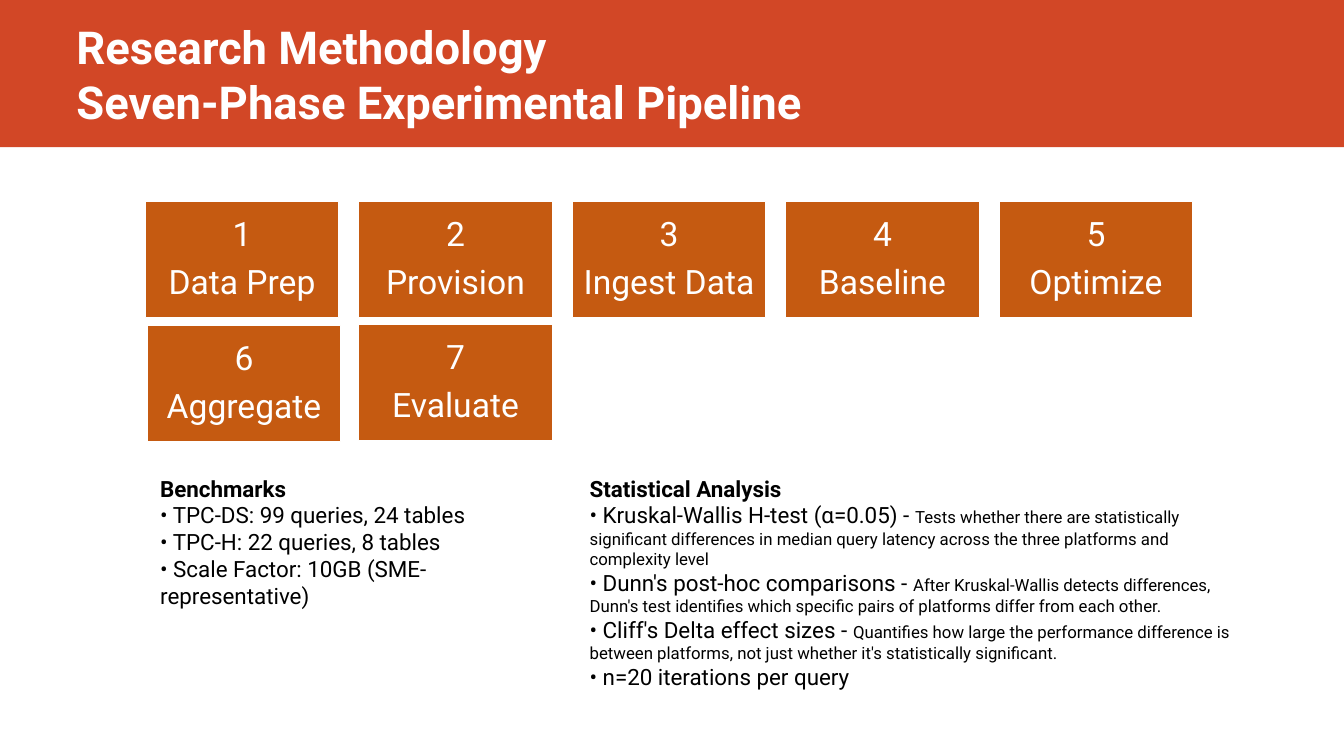
from pptx import Presentation
from pptx.dml.color import RGBColor
from pptx.enum.shapes import MSO_SHAPE
from pptx.enum.text import MSO_ANCHOR, PP_ALIGN
from pptx.util import Inches, Pt

COLORS = {"banner": "D24726", "phase": "C55A11", "light": "FFFFFF", "body": "000000"}
FONT = "Roboto"

PHASES = ["Data Prep", "Provision", "Ingest Data", "Baseline", "Optimize",
          "Aggregate", "Evaluate"]
PHASES_PER_ROW = 5
NUDGES = {"Aggregate": (0.02, 0.01)}

BENCHMARKS = [
    ("TPC-DS: 99 queries, 24 tables", ""),
    ("TPC-H: 22 queries, 8 tables", ""),
    ("Scale Factor: 10GB (SME-representative)", ""),
]
STATISTICS = [
    ("Kruskal-Wallis H-test (α=0.05) - ",
     "Tests whether there are statistically significant differences in median "
     "query latency across the three platforms and complexity level"),
    ("Dunn's post-hoc comparisons - ",
     "After Kruskal-Wallis detects differences, Dunn's test identifies which "
     "specific pairs of platforms differ from each other."),
    ("Cliff's Delta effect sizes - ",
     "Quantifies how large the performance difference is between platforms, "
     "not just whether it's statistically significant."),
    ("n=20 iterations per query", ""),
]


def add_run(paragraph, text, size=16, color="body", bold=False):
    run = paragraph.add_run()
    run.text = text
    run.font.name = FONT
    run.font.size = Pt(size)
    run.font.bold = bold
    run.font.color.rgb = RGBColor.from_string(COLORS[color])


def write(frame, paragraphs, align=PP_ALIGN.LEFT, anchor=MSO_ANCHOR.TOP,
          line_spacing=None, space_after=0, **font):
    """Fill a frame; each paragraph is a list of (text, font overrides)."""
    frame.word_wrap = True
    frame.vertical_anchor = anchor
    for index, runs in enumerate(paragraphs):
        paragraph = frame.add_paragraph() if index else frame.paragraphs[0]
        paragraph.alignment = align
        paragraph.line_spacing = line_spacing
        paragraph.space_after = Pt(space_after)
        for text, overrides in runs:
            add_run(paragraph, text, **{**font, **overrides})


def add_box(slide, left, top, width, height, fill, line=None):
    box = slide.shapes.add_shape(MSO_SHAPE.RECTANGLE, Inches(left), Inches(top),
                                 Inches(width), Inches(height))
    box.shadow.inherit = False
    box.fill.solid()
    box.fill.fore_color.rgb = RGBColor.from_string(COLORS[fill])
    if line:
        box.line.color.rgb = RGBColor.from_string(COLORS[line])
        box.line.width = Pt(1)
    else:
        box.line.fill.background()
    return box


def add_text_frame(slide, left, top, width, height):
    return slide.shapes.add_textbox(Inches(left), Inches(top), Inches(width),
                                    Inches(height)).text_frame


def add_banner(slide, left, top, width, height):
    add_box(slide, left, top, width, height, "banner")
    title = add_text_frame(slide, left + 0.66, top, width - 1.57, height - 0.14)
    write(title, [[("Research Methodology", {})],
                  [("Seven-Phase Experimental Pipeline", {})]],
          anchor=MSO_ANCHOR.BOTTOM, size=32.4, color="light", bold=True)


def add_pipeline(slide, left, top, width, height):
    """Lay the numbered phases out in rows inside the given box."""
    box_width, box_height = 1.92, 1.15
    column_step = (width - box_width) / (PHASES_PER_ROW - 1)
    row_step = height - box_height
    for index, phase in enumerate(PHASES):
        row, column = divmod(index, PHASES_PER_ROW)
        shift_x, shift_y = NUDGES.get(phase, (0, 0))
        box = add_box(slide, left + column * column_step + shift_x,
                      top + row * row_step + shift_y,
                      box_width, box_height, "phase", line="light")
        write(box.text_frame, [[(str(index + 1), {})], [(phase, {})]],
              align=PP_ALIGN.CENTER, anchor=MSO_ANCHOR.MIDDLE,
              line_spacing=0.9, space_after=8.4, size=24, color="light")


def add_notes_column(slide, left, top, width, height, heading, points):
    """Bold heading above points, each with an optional smaller explanation."""
    paragraphs = [[(heading, {"bold": True})]]
    for point, explanation in points:
        runs = [("• " + point, {})]
        if explanation:
            runs.append((explanation, {"size": 12}))
        paragraphs.append(runs)
    write(add_text_frame(slide, left, top, width, height), paragraphs)


def main():
    presentation = Presentation()
    presentation.slide_width = Inches(13.33)
    presentation.slide_height = Inches(7.5)
    slide = presentation.slides.add_slide(presentation.slide_layouts[6])
    add_banner(slide, 0, 0, 13.33, 1.46)
    add_pipeline(slide, 1.44, 2, 10.39, 2.37)
    add_notes_column(slide, 1.49, 4.66, 3.78, 1.45, "Benchmarks", BENCHMARKS)
    add_notes_column(slide, 5.75, 4.66, 6.67, 2.26, "Statistical Analysis", STATISTICS)
    presentation.save("out.pptx")


if __name__ == "__main__":
    main()
